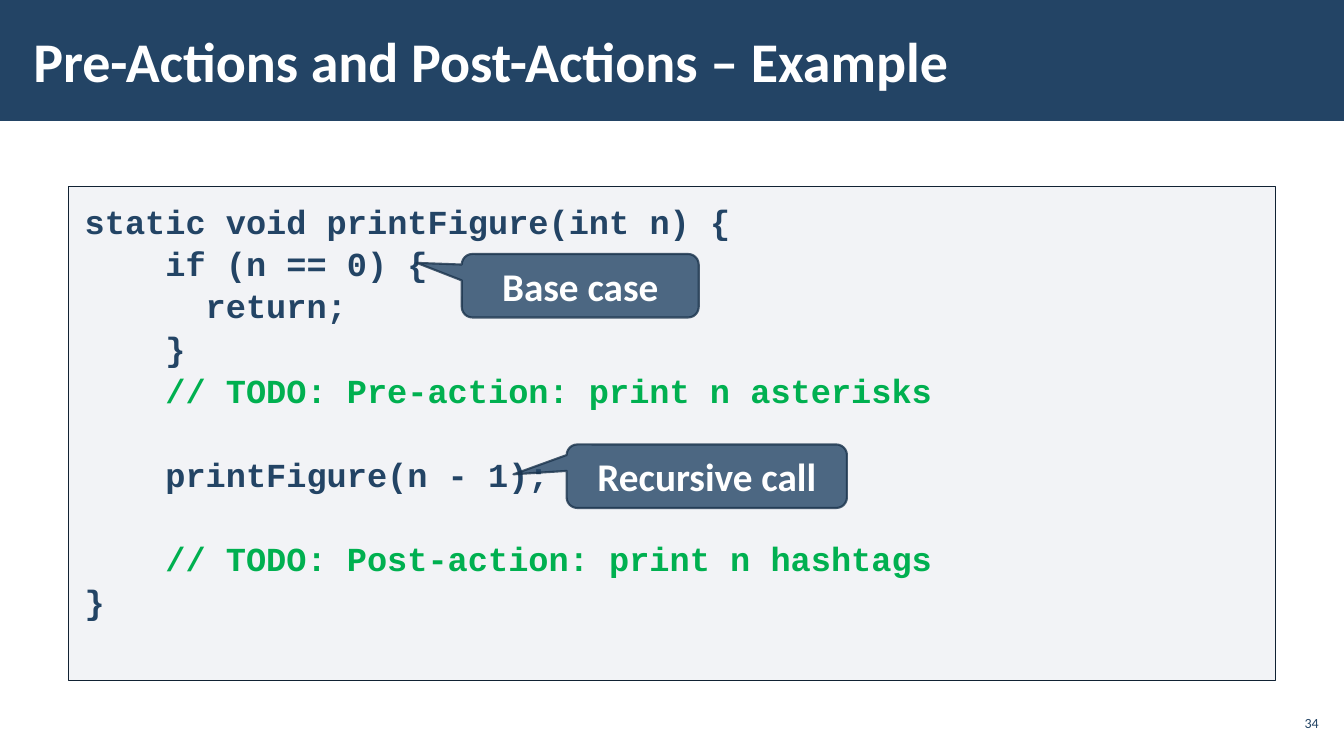
from dataclasses import dataclass

from lxml.etree import SubElement
from pptx import Presentation
from pptx.dml.color import RGBColor
from pptx.enum.shapes import MSO_SHAPE as Shape
from pptx.enum.text import MSO_ANCHOR as Anchor, MSO_AUTO_SIZE as AutoSize, PP_ALIGN as Align
from pptx.oxml.ns import qn
from pptx.util import Pt

PX = 9144  # one px is a hundredth of an inch


@dataclass(frozen=True)
class Theme:
    navy: str = "234465"
    panel: str = "ADB4C3"
    panel_line: str = "112233"
    callout_line: str = "1A334C"
    comment: str = "00B050"
    white: str = "FFFFFF"
    text_font: str = "Calibri"
    code_font: str = "Courier New"
    title_size: int = 40
    callout_size: int = 28
    code_size: int = 24
    number_size: int = 10
    code_spacing: float = 1.05
    code_line: int = 30  # height of one line of code, in points
    code_char: int = 20  # width of one character of code, in px


def write(paragraph, text, *, font, size, color, bold=True, align=Align.LEFT):
    """Add one formatted run to a paragraph."""
    paragraph.alignment = align
    run = paragraph.add_run()
    run.text = text
    run.font.name = font
    run.font.size = Pt(size)
    run.font.bold = bold
    run.font.color.rgb = RGBColor.from_string(color)


def paint(fill, color, opacity=100):
    """Give a fill a solid colour, see-through below 100 percent."""
    fill.solid()
    fill.fore_color.rgb = RGBColor.from_string(color)
    if opacity < 100:
        for tag in fill._xPr.iter(qn("a:srgbClr")):
            SubElement(tag, qn("a:alpha")).set("val", str(opacity * 1000))


class SlideBuilder:
    def __init__(self, presentation, theme):
        self.theme = theme
        self.slide = presentation.slides.add_slide(presentation.slide_layouts[1])

    def place(self, shape, box):
        shape.left, shape.top, shape.width, shape.height = (value * PX for value in box)

    def frame(self, shape, side, end, anchor):
        frame = shape.text_frame
        frame.word_wrap = True
        frame.auto_size = AutoSize.NONE
        frame.vertical_anchor = anchor
        frame.margin_left = frame.margin_right = side * PX
        frame.margin_top = frame.margin_bottom = end * PX
        return frame

    def shape(self, kind, box):
        shape = self.slide.shapes.add_shape(kind, *(value * PX for value in box))
        shape.shadow.inherit = False
        return shape

    def header(self, box):
        bar = self.shape(Shape.RECTANGLE, box)
        paint(bar.fill, self.theme.navy)
        bar.line.fill.background()
        self.slide.shapes._spTree.insert(2, bar._element)

    def title(self, text, box):
        title = self.slide.shapes.title
        self.place(title, box)
        frame = self.frame(title, 12, 4, Anchor.MIDDLE)
        write(frame.paragraphs[0], text, font=self.theme.text_font,
              size=self.theme.title_size, color=self.theme.white)

    def code(self, lines, box):
        """Each line holds its indent in characters, blank lines above, and text."""
        theme = self.theme
        body = self.slide.placeholders[1]
        self.place(body, box)
        paint(body.fill, theme.panel, 15)
        paint(body.line.fill, theme.panel_line)
        body.line.width = Pt(1)
        frame = self.frame(body, 16, 12, Anchor.TOP)
        for index, (indent, blanks, text) in enumerate(lines):
            paragraph = frame.add_paragraph() if index else frame.paragraphs[0]
            paragraph.line_spacing = theme.code_spacing
            paragraph.space_before = Pt(blanks * theme.code_line)
            paragraph.space_after = Pt(0)
            properties = paragraph._p.get_or_add_pPr()
            properties.set("marL", str(indent * theme.code_char * PX))
            properties.set("indent", "0")
            SubElement(properties, qn("a:buNone"))
            color = theme.comment if text.startswith("//") else theme.navy
            write(paragraph, text, font=theme.code_font, size=theme.code_size, color=color)

    def callout(self, text, box, tip):
        theme = self.theme
        callout = self.shape(Shape.ROUNDED_RECTANGULAR_CALLOUT, box)
        callout.adjustments[0], callout.adjustments[1] = tip
        paint(callout.fill, theme.navy, 80)
        paint(callout.line.fill, theme.callout_line, 80)
        callout.line.width = Pt(1.5)
        frame = self.frame(callout, 10, 5, Anchor.MIDDLE)
        write(frame.paragraphs[0], text, font=theme.text_font,
              size=theme.callout_size, color=theme.white, align=Align.CENTER)

    def number(self, text, box):
        number = self.slide.shapes.add_textbox(*(value * PX for value in box))
        frame = self.frame(number, 4, 4, Anchor.MIDDLE)
        write(frame.paragraphs[0], text, font=self.theme.text_font, bold=False,
              size=self.theme.number_size, color=self.theme.navy, align=Align.RIGHT)


def main():
    presentation = Presentation()
    presentation.slide_width, presentation.slide_height = 1333 * PX, 750 * PX
    builder = SlideBuilder(presentation, Theme())

    # Header
    builder.header((0, 0, 1333, 120))
    builder.title("Pre-Actions and Post-Actions – Example", (21, 11, 1040, 97))

    # Code panel
    builder.code([
        (0, 0, "static void printFigure(int n) {"),
        (4, 0, "if (n == 0) {"),
        (6, 0, "return;"),
        (4, 0, "}"),
        (4, 0, "// TODO: Pre-action: print n asterisks"),
        (4, 1, "printFigure(n - 1);"),
        (4, 1, "// TODO: Post-action: print n hashtags"),
        (0, 0, "}"),
    ], (68, 185, 1197, 490))

    # Callouts
    builder.callout("Base case", (458, 252, 235, 63), (-0.69, -0.36))
    builder.callout("Recursive call", (562, 441, 278, 63), (-0.69, -0.03))

    # Slide number
    builder.number("34", (1265, 700, 47, 34))

    presentation.save("out.pptx")


if __name__ == "__main__":
    main()
